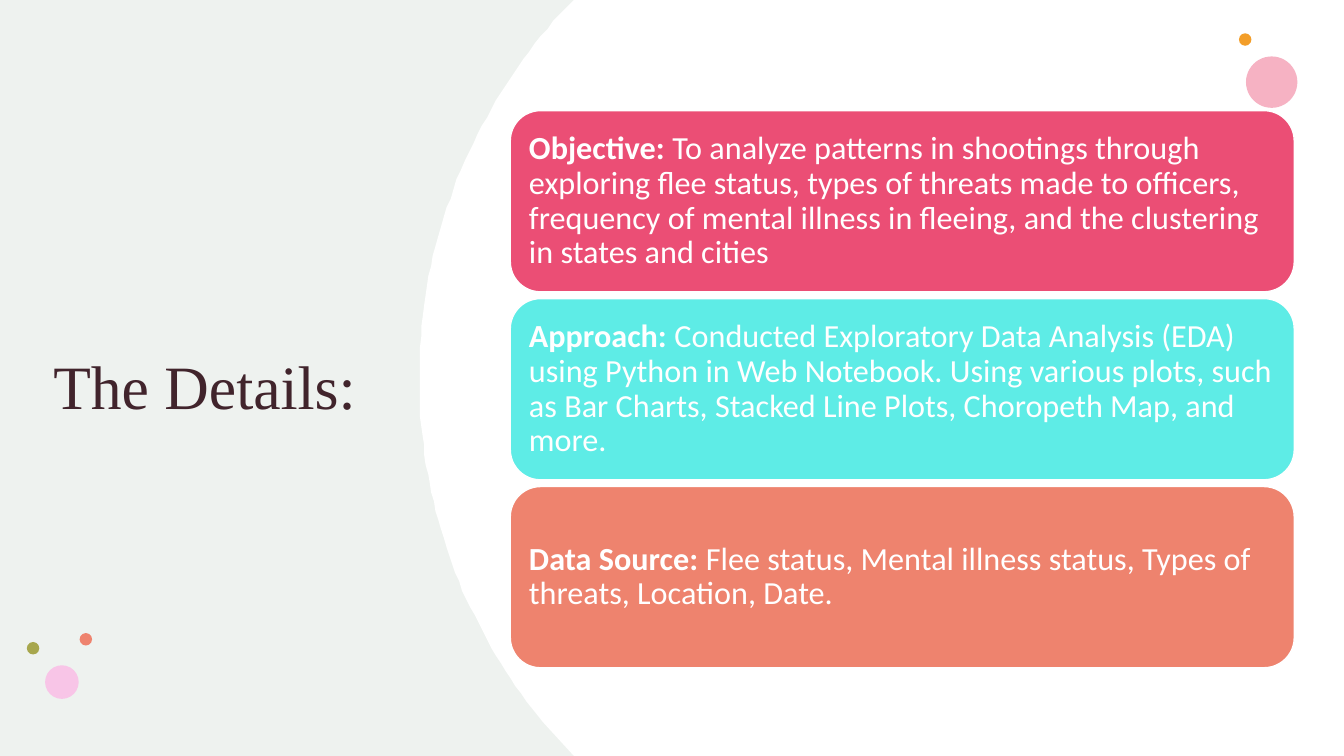
from dataclasses import dataclass

from pptx import Presentation
from pptx.dml.color import RGBColor
from pptx.enum.shapes import MSO_SHAPE
from pptx.enum.text import MSO_ANCHOR, PP_ALIGN
from pptx.util import Pt


@dataclass(frozen=True)
class Theme:
    """Colours, fonts and type sizes of the slide."""
    white: str = "FFFFFF"
    mist: str = "EEF2EF"
    plum: str = "41242C"
    rose: str = "EB4E75"
    aqua: str = "5EECE6"
    coral: str = "EE836E"
    blush: str = "F6B2C3"
    amber: str = "F39E29"
    orchid: str = "F8C5E7"
    olive: str = "A7A74D"
    title_font: str = "Times New Roman"
    body_font: str = "Calibri"
    title_size: int = 44
    body_size: int = 23


THEME = Theme()
SLIDE_WIDTH, SLIDE_HEIGHT = 960, 540
CARDS = [
    ("Objective:", " To analyze patterns in shootings through exploring flee status, "
     "types of threats made to officers, frequency of mental illness in fleeing, "
     "and the clustering in states and cities", THEME.rose),
    ("Approach:", " Conducted Exploratory Data Analysis (EDA) using Python in "
     "Web Notebook. Using various plots, such as Bar Charts, Stacked Line Plots, "
     "Choropeth Map, and more.", THEME.aqua),
    ("Data Source:", " Flee status, Mental illness status, Types of threats, "
     "Location, Date.", THEME.coral),
]
TOP_DOTS = [(5, 16.5, 36.7, THEME.blush), (0, 0, 8.9, THEME.amber)]
BOTTOM_DOTS = [(37.7, 0, 8.9, THEME.coral), (13, 23, 24, THEME.orchid),
               (0, 6.4, 8.9, THEME.olive)]


def paint(shape, fill, line=None):
    """Give a shape a flat fill and an optional thin outline."""
    shape.shadow.inherit = False
    shape.fill.solid()
    shape.fill.fore_color.rgb = RGBColor.from_string(fill)
    if line:
        shape.line.color.rgb = RGBColor.from_string(line)
        shape.line.width = Pt(1)
    else:
        shape.line.fill.background()


def style(run, font, size, color, bold=False):
    """Set the type of one run."""
    run.font.name = font
    run.font.size = Pt(size)
    run.font.bold = bold
    run.font.color.rgb = RGBColor.from_string(color)


def curve(start, pull_out, pull_in, end, steps=40):
    """Return points along a cubic curve."""
    points = []
    for step in range(steps + 1):
        t = step / steps
        weights = ((1 - t) ** 3, 3 * t * (1 - t) ** 2, 3 * t * t * (1 - t), t ** 3)
        points.append(tuple(
            sum(weight * value for weight, value in zip(weights, axis))
            for axis in zip(start, pull_out, pull_in, end)))
    return points


def add_backdrop(slide, left, top, width, height):
    """Fill the slide with mist and lay the curved white panel over its right."""
    slide.background.fill.solid()
    slide.background.fill.fore_color.rgb = RGBColor.from_string(THEME.mist)
    right, bottom = left + width, top + height
    edge = curve((left + 388, top + 516), (left + 333, top + 449),
                 (left + 299.5, top + 364), (left + 299.5, top + 270))
    edge += curve((left + 299.5, top + 270), (left + 299.5, top + 170),
                  (left + 338, top + 79), (left + 400, top + 10))
    outline = [(right, top), (right, bottom), (left + 410, bottom), *edge]
    builder = slide.shapes.build_freeform(left + 410, top, scale=Pt(1))
    builder.add_line_segments(outline, close=True)
    paint(builder.convert_to_shape(), THEME.white)


def add_dots(slide, left, top, dots):
    """Scatter a cluster of round dots from its top left corner."""
    for across, down, size, color in dots:
        dot = slide.shapes.add_shape(
            MSO_SHAPE.OVAL, Pt(left + across), Pt(top + down), Pt(size), Pt(size))
        paint(dot, color)


def add_title(slide, left, top, width, height):
    """Write the title, centred vertically in its box."""
    title = slide.shapes.add_textbox(Pt(left), Pt(top), Pt(width), Pt(height))
    frame = title.text_frame
    frame.text = "The Details:"
    frame.word_wrap = True
    frame.vertical_anchor = MSO_ANCHOR.MIDDLE
    frame.paragraphs[0].line_spacing = 0.9
    style(frame.paragraphs[0].runs[0], THEME.title_font, THEME.title_size, THEME.plum)


def add_cards(slide, left, top, width, height, gap=4.8):
    """Stack the rounded cards evenly down the box."""
    card_height = (height - gap * (len(CARDS) - 1)) / len(CARDS)
    for index, (label, detail, color) in enumerate(CARDS):
        card = slide.shapes.add_shape(
            MSO_SHAPE.ROUNDED_RECTANGLE, Pt(left),
            Pt(top + index * (card_height + gap)), Pt(width), Pt(card_height))
        paint(card, color, THEME.white)
        frame = card.text_frame
        frame.text = label
        frame.word_wrap = True
        frame.vertical_anchor = MSO_ANCHOR.MIDDLE
        frame.margin_left = frame.margin_right = Pt(7.2)
        frame.margin_top = frame.margin_bottom = Pt(7.2)
        paragraph = frame.paragraphs[0]
        paragraph.alignment = PP_ALIGN.LEFT
        paragraph.line_spacing = 0.9
        paragraph.add_run().text = detail
        for run, bold in zip(paragraph.runs, (True, False)):
            style(run, THEME.body_font, THEME.body_size, THEME.white, bold)


def build_details_slide(presentation):
    """Add the slide with the title on the left and the cards on the right."""
    slide = presentation.slides.add_slide(presentation.slide_layouts[6])
    add_backdrop(slide, 0, 0, SLIDE_WIDTH, SLIDE_HEIGHT)
    add_dots(slide, 885, 23.8, TOP_DOTS)
    add_dots(slide, 19.2, 452.2, BOTTOM_DOTS)
    add_title(slide, 31, 75, 255.6, 406)
    add_cards(slide, 364.5, 79, 560, 398)


def main():
    """Build and save the presentation."""
    presentation = Presentation()
    presentation.slide_width = Pt(SLIDE_WIDTH)
    presentation.slide_height = Pt(SLIDE_HEIGHT)
    build_details_slide(presentation)
    presentation.save("out.pptx")


if __name__ == "__main__":
    main()
